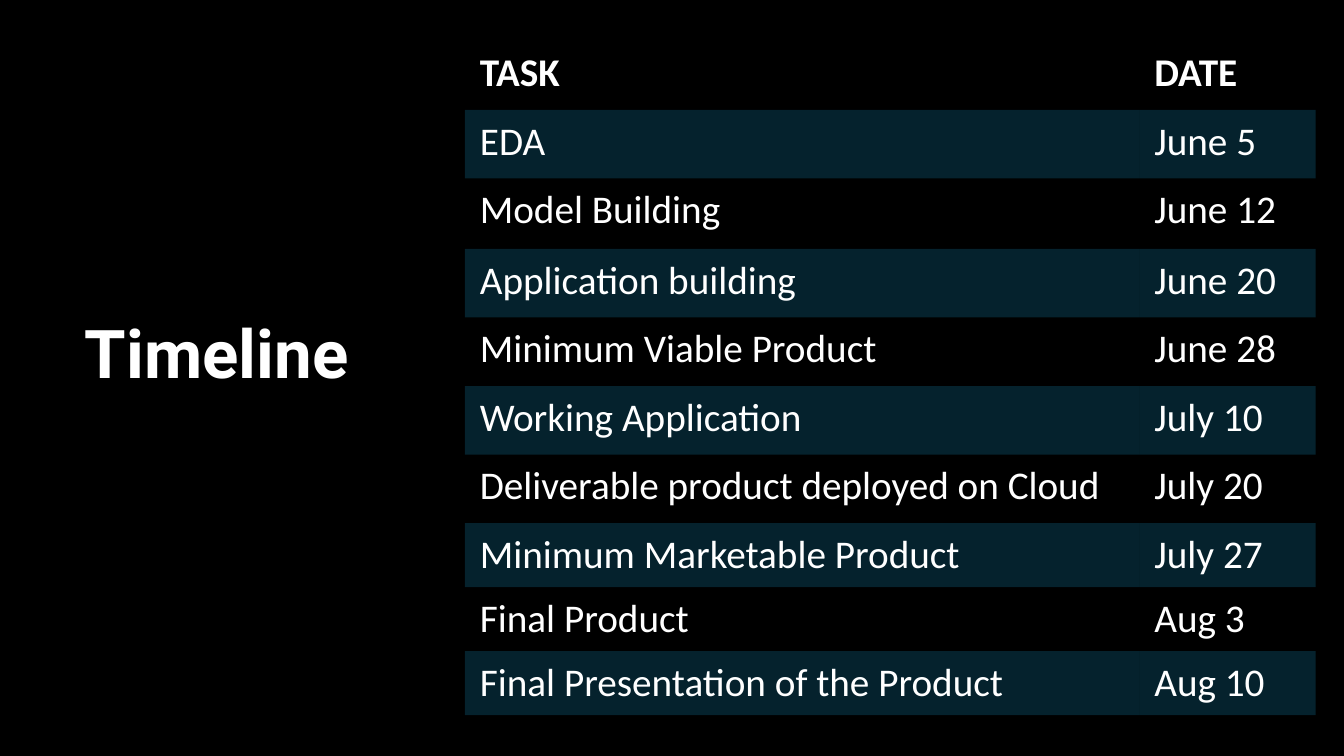
"""Build the project timeline slide: a title beside a banded table of tasks and dates."""
from dataclasses import dataclass

from lxml import etree
from pptx import Presentation
from pptx.dml.color import RGBColor
from pptx.enum.text import MSO_ANCHOR, PP_ALIGN
from pptx.oxml.ns import qn
from pptx.util import Inches, Pt

CENTER = PP_ALIGN.CENTER
MIDDLE = MSO_ANCHOR.MIDDLE
TOP = MSO_ANCHOR.TOP
TITLE_ONLY = 5
PLAIN_TABLE_STYLE = "{2D5ABB26-0587-4C30-8999-92F81FD0307C}"

SCHEDULE = [
    ("TASK", "DATE"),
    ("EDA", "June 5"),
    ("Model Building", "June 12"),
    ("Application building", "June 20"),
    ("Minimum Viable Product", "June 28"),
    ("Working Application", "July 10"),
    ("Deliverable product deployed on Cloud", "July 20"),
    ("Minimum Marketable Product", "July 27"),
    ("Final Product", "Aug 3"),
    ("Final Presentation of the Product", "Aug 10"),
]
COLUMN_WIDTHS = [6.69, 1.75]
ROW_HEIGHTS = [0.68] * 2 + [0.7] + [0.68] * 4 + [0.58] * 3


@dataclass(frozen=True)
class Theme:
    background: RGBColor = RGBColor(0x00, 0x00, 0x00)
    text: RGBColor = RGBColor(0xFF, 0xFF, 0xFF)
    band: RGBColor = RGBColor(0x1C, 0xAD, 0xE4)
    band_opacity: int = 20
    title_font: str = "Roboto"
    table_font: str = "Calibri"
    title_size: int = 48
    table_size: int = 28


class SlideBuilder:
    def __init__(self, slide, theme):
        self.slide = slide
        self.theme = theme
        background = slide.background.fill
        background.solid()
        background.fore_color.rgb = theme.background

    def style(self, paragraph, family, size, bold):
        font = paragraph.font
        font.name = family
        font.size = Pt(size)
        font.bold = bold
        font.color.rgb = self.theme.text

    def title(self, wording, left, top, width, height):
        heading = self.slide.shapes.title
        heading.left, heading.top = Inches(left), Inches(top)
        heading.width, heading.height = Inches(width), Inches(height)
        frame = heading.text_frame
        frame.text = wording
        frame.word_wrap = True
        frame.vertical_anchor = MIDDLE
        paragraph = frame.paragraphs[0]
        paragraph.alignment = CENTER
        paragraph.line_spacing = 0.9
        self.style(paragraph, self.theme.title_font, self.theme.title_size, True)

    def table(self, rows, left, top, widths, heights):
        frame = self.slide.shapes.add_table(
            len(rows), len(widths), Inches(left), Inches(top),
            Inches(sum(widths)), Inches(sum(heights)))
        schedule = frame.table
        schedule._tbl.tblPr.find(qn("a:tableStyleId")).text = PLAIN_TABLE_STYLE
        for column, width in zip(schedule.columns, widths):
            column.width = Inches(width)
        for row, height in zip(schedule.rows, heights):
            row.height = Inches(height)
        for row_index, entries in enumerate(rows):
            for column_index, entry in enumerate(entries):
                self.cell(schedule.cell(row_index, column_index), entry,
                          header=row_index == 0, banded=row_index % 2 == 1)

    def cell(self, cell, wording, header, banded):
        cell.text = wording
        cell.vertical_anchor = TOP
        cell.margin_left = cell.margin_right = Inches(0.15)
        cell.margin_top = cell.margin_bottom = Inches(0.08)
        self.style(cell.text_frame.paragraphs[0], self.theme.table_font,
                   self.theme.table_size, header)
        if banded:
            cell.fill.solid()
            cell.fill.fore_color.rgb = self.theme.band
            color = cell._tc.tcPr.find(".//" + qn("a:srgbClr"))
            alpha = etree.SubElement(color, qn("a:alpha"))
            alpha.set("val", str(self.theme.band_opacity * 1000))
        else:
            cell.fill.background()


def main():
    deck = Presentation()
    deck.slide_width, deck.slide_height = Inches(13.33), Inches(7.5)
    slide = deck.slides.add_slide(deck.slide_layouts[TITLE_ONLY])
    builder = SlideBuilder(slide, Theme())
    builder.title("Timeline", 0.43, 3.02, 3.44, 1.03)
    builder.table(SCHEDULE, 4.61, 0.41, COLUMN_WIDTHS, ROW_HEIGHTS)
    deck.save("out.pptx")


if __name__ == "__main__":
    main()
